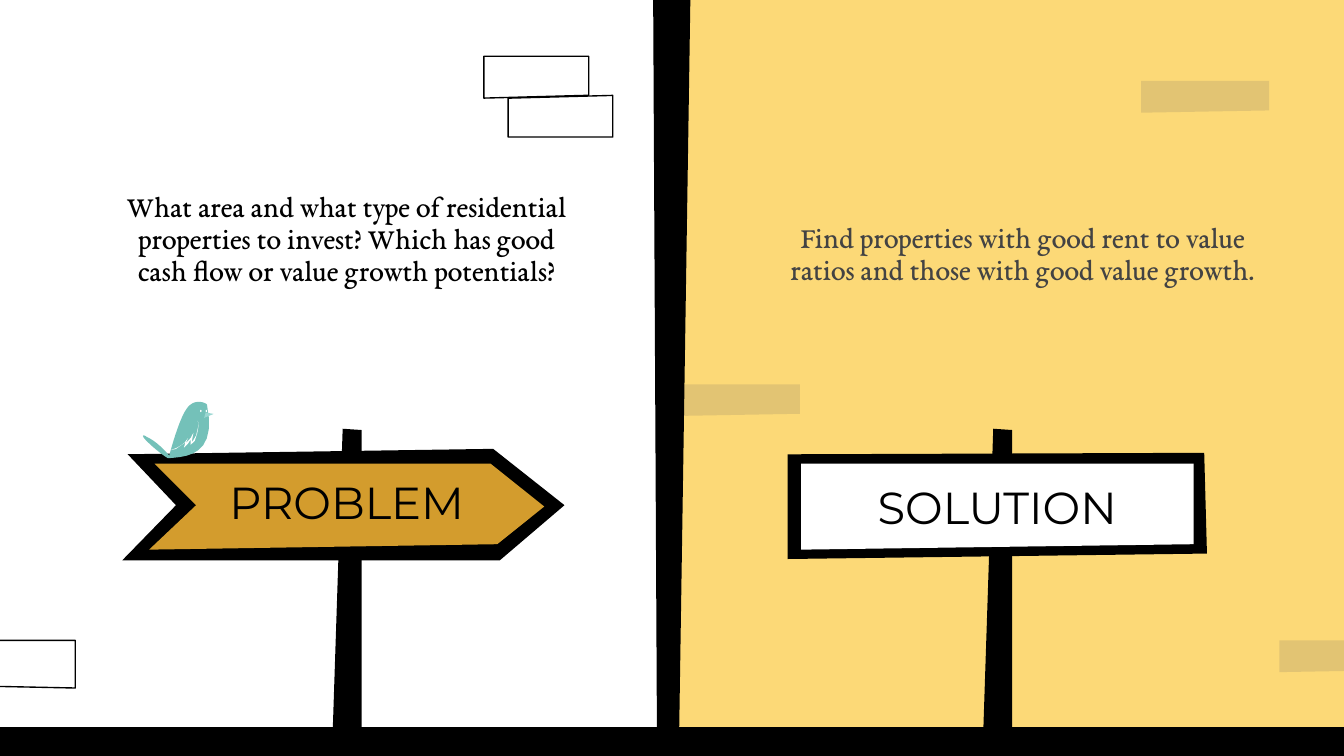
from lxml import etree
from pptx import Presentation
from pptx.dml.color import RGBColor
from pptx.enum.shapes import MSO_SHAPE as SHAPE
from pptx.enum.text import MSO_ANCHOR as ANCHOR, PP_ALIGN as ALIGN
from pptx.oxml.ns import qn
from pptx.util import Pt

BLACK = RGBColor(0x00, 0x00, 0x00)
WHITE = RGBColor(0xFF, 0xFF, 0xFF)
YELLOW = RGBColor(0xFC, 0xD9, 0x77)
OCHRE = RGBColor(0xD3, 0x9C, 0x2D)
SLATE = RGBColor(0x37, 0x3A, 0x5A)
GRAY = RGBColor(0x43, 0x43, 0x43)
TEAL = RGBColor(0x74, 0xC1, 0xB9)
PALE_TEAL = RGBColor(0x9A, 0xD7, 0xD2)

SIGN_GAP = 348.5
INSET = 7.2

WHITE_PANEL = [(-4.3, 0), (-7.9, 405.4), (357.1, 406), (360, -3.6)]
DIVIDER = [(349.9, 0), (352, 406.8), (363.6, 407.5), (370, -11.5)]
OUTLINED_BRICKS = [
    [(328.3, 51.1), (328.3, 73.4), (272.2, 73.4), (272.2, 52.6)],
    [(259.2, 52.6), (259.2, 30.2), (315.4, 30.2), (315.4, 51.1)],
    [(40.3, 368.6), (40.3, 343.1), (-28.1, 343.1), (-28.1, 367.2)],
]
SHADED_BRICKS = [(360, 205.9), (685.4, 343.1), (611.3, 43.4)]
POST = [(183.6, 229.7), (177.8, 405.4), (193.7, 406), (193.7, 230.4)]
ARROW_FRAME = [(68.4, 243.4), (94.3, 270.7), (65.5, 300.2),
               (267.8, 300.2), (302.4, 270.7), (264.2, 240.5)]
ARROW_FACE = [(82.8, 248.4), (105.1, 270.7), (79.9, 294.5),
              (266.4, 291.6), (291.6, 271.4), (262.8, 248.4)]
BOARD_FRAME = [(421.9, 299.5), (421.9, 243.4), (645.1, 242.6), (646.6, 296.6)]
BOARD_FACE = [(429.1, 294.5), (429.1, 248.4), (639.4, 248.4), (639.4, 291.6)]

BIRD_START = (106.6, 215.3)
BIRD_CURVES = [
    [(104.4, 215.3), (102.2, 216), (100.1, 218.9)],
    [(95.8, 224.6), (90.7, 244.1), (90.7, 244.1)],
    [(90.7, 244.1), (85, 236.9), (78.5, 234)],
    [(77.8, 233.3), (77, 233.3), (77, 233.3)],
    [(74.2, 233.3), (87.1, 244.1), (90, 245.5)],
    [(100.1, 244.8), (116.6, 244.1), (110.9, 216.7)],
    [(110.9, 216.7), (109.4, 215.3), (106.6, 215.3)],
]
BEAK = [(110.2, 221), (109.4, 223.9), (114.5, 221.8)]
WING = [(105.8, 225.4), (106.6, 226.8), (105.8, 230.4), (105.1, 233.3),
        (103, 236.9), (103, 235.4), (103.7, 231.8), (102.2, 234.7),
        (99.4, 237.6), (100.8, 234.7), (98.6, 237.6), (95, 239.8),
        (91.4, 241.2), (94.3, 240.5), (99.4, 236.9), (98.6, 239.8),
        (100.8, 237.6), (102.2, 235.4), (102.2, 238.3), (104.4, 236.2),
        (105.8, 231.8), (106.6, 226.8)]


def paint(s, fill=None, line=None, alpha=None):
    """Set fill and line; alpha is the fill's opacity in percent."""
    s.shadow.inherit = False
    if fill is None:
        s.fill.background()
    else:
        s.fill.solid()
        s.fill.fore_color.rgb = fill
    if alpha is not None:
        color = s.fill._xPr.find(qn("a:solidFill"))[0]
        etree.SubElement(color, qn("a:alpha"), val=str(alpha * 1000))
    if line is None:
        s.line.fill.background()
    else:
        s.line.color.rgb = line
        s.line.width = Pt(0.75)


def add_polygon(slide, points, dx=0, **style):
    corners = [(Pt(x + dx), Pt(y)) for x, y in points]
    builder = slide.shapes.build_freeform(*corners[0])
    builder.add_line_segments(corners[1:], close=True)
    paint(builder.convert_to_shape(), **style)


def add_preset(slide, kind, x, y, w, h, fill):
    s = slide.shapes.add_shape(kind, Pt(x), Pt(y), Pt(w), Pt(h))
    paint(s, fill)


def add_shaded_brick(slide, x, y):
    w, h, slope = 68.6, 17, 1.2
    points = [(x, y + h), (x, y), (x + w, y), (x + w, y + h - slope)]
    add_polygon(slide, points, fill=SLATE, alpha=13)


def curve_points(start, curves, steps=10):
    """Trace a chain of cubic Bezier curves as points."""
    points = [start]
    for b, c, d in curves:
        a = points[-1]
        for i in range(1, steps + 1):
            t = i / steps
            u = 1 - t
            weights = (u ** 3, 3 * u * u * t, 3 * u * t * t, t ** 3)
            points.append(tuple(sum(k * q[axis] for k, q in zip(weights, (a, b, c, d)))
                                for axis in (0, 1)))
    return points


def add_text(slide, box, text, font, size, color, anchor, spacing, bottom=INSET):
    sp = slide.shapes.add_textbox(*map(Pt, box))
    tf = sp.text_frame
    tf.word_wrap = True
    tf.vertical_anchor = anchor
    tf.margin_left = tf.margin_right = tf.margin_top = Pt(INSET)
    tf.margin_bottom = Pt(bottom)
    tf.text = text
    p = tf.paragraphs[0]
    p.alignment = ALIGN.CENTER
    p.line_spacing = spacing
    r = p.runs[0]
    r.font.name = font
    r.font.size = Pt(size)
    r.font.color.rgb = color


def add_body(slide, box, text, color, bottom=INSET):
    add_text(slide, box, text, "EB Garamond", 16, color, ANCHOR.MIDDLE, 0.9, bottom)


def add_sign_label(slide, x, y, text):
    add_text(slide, (x, y, 239, 60.5), text, "Montserrat", 24, BLACK, ANCHOR.BOTTOM, 0.8)


def add_bird(slide):
    add_polygon(slide, curve_points(BIRD_START, BIRD_CURVES), fill=TEAL)
    add_polygon(slide, BEAK, fill=PALE_TEAL)
    for eye_x in (107.2, 110.2):
        add_preset(slide, SHAPE.OVAL, eye_x, 219.6, 0.8, 1.2, WHITE)
    add_polygon(slide, WING, fill=WHITE)


def add_backdrop(slide):
    slide.background.fill.solid()
    slide.background.fill.fore_color.rgb = YELLOW
    add_polygon(slide, WHITE_PANEL, fill=WHITE)
    for points in OUTLINED_BRICKS:
        add_polygon(slide, points, line=BLACK)
    for x, y in SHADED_BRICKS:
        add_shaded_brick(slide, x, y)
    add_preset(slide, SHAPE.RECTANGLE, -13.7, 389.5, 733.7, 20.9, BLACK)


def main():
    prs = Presentation()
    prs.slide_width, prs.slide_height = Pt(720), Pt(405)
    slide = prs.slides.add_slide(prs.slide_layouts[6])

    add_backdrop(slide)
    add_polygon(slide, ARROW_FRAME, fill=BLACK)
    add_polygon(slide, POST, fill=BLACK)
    add_polygon(slide, ARROW_FACE, fill=OCHRE)
    add_body(slide, (56.2, 61.2, 259.2, 134.6),
             "What area and what type of residential properties to invest? "
             "Which has good cash flow or value growth potentials?", BLACK)
    add_polygon(slide, DIVIDER, fill=BLACK)
    add_polygon(slide, POST, dx=SIGN_GAP, fill=BLACK)
    add_polygon(slide, BOARD_FRAME, fill=BLACK)
    add_polygon(slide, BOARD_FACE, fill=WHITE)
    add_body(slide, (404.6, 95.8, 286.6, 100.1),
             "Find properties with good rent to value ratios "
             "and those with good value growth.", GRAY, bottom=26)
    add_bird(slide)
    add_sign_label(slide, 66.2, 229.7, "PROBLEM")
    add_sign_label(slide, 414.7, 232.6, "SOLUTION")
    prs.save("out.pptx")


if __name__ == "__main__":
    main()
